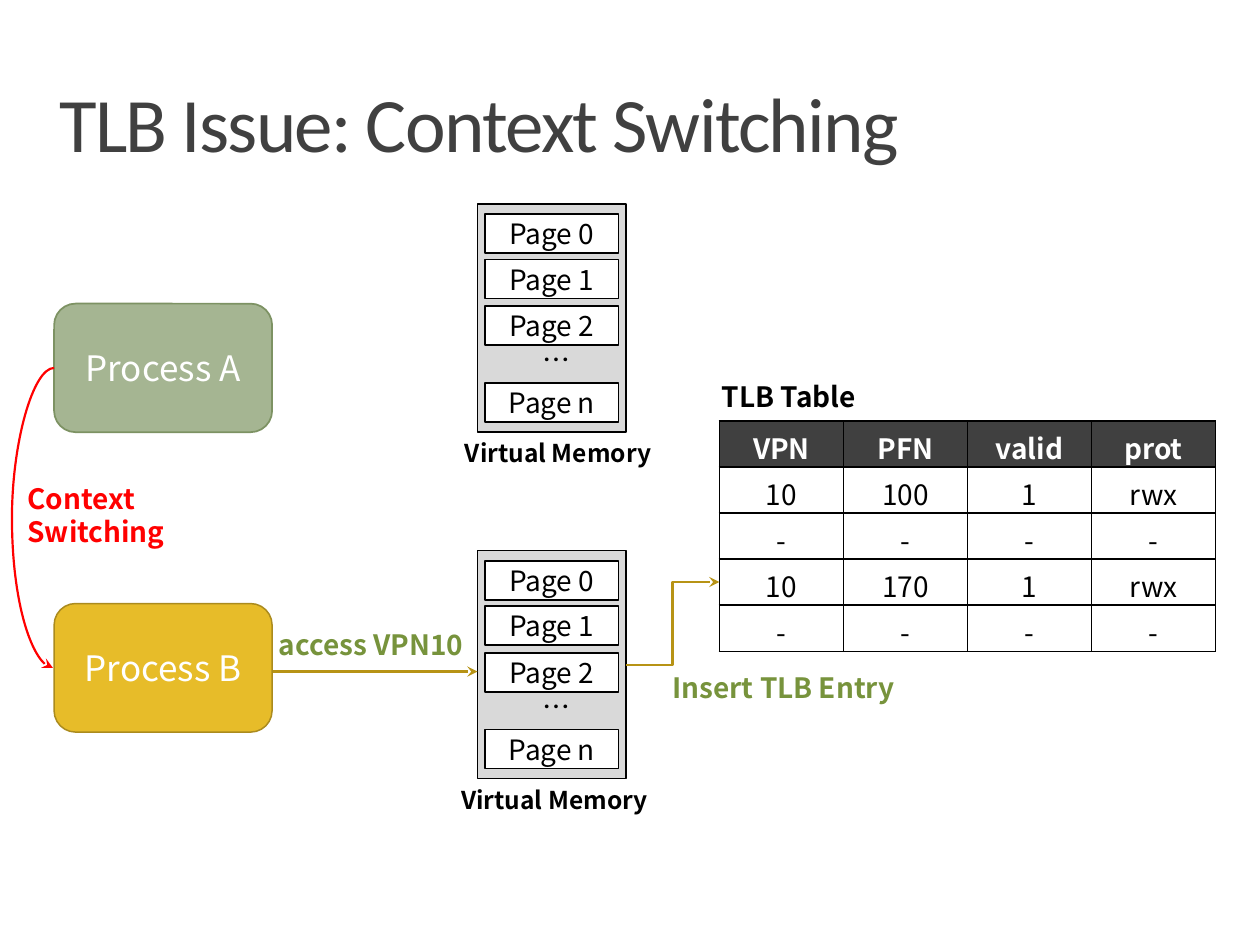
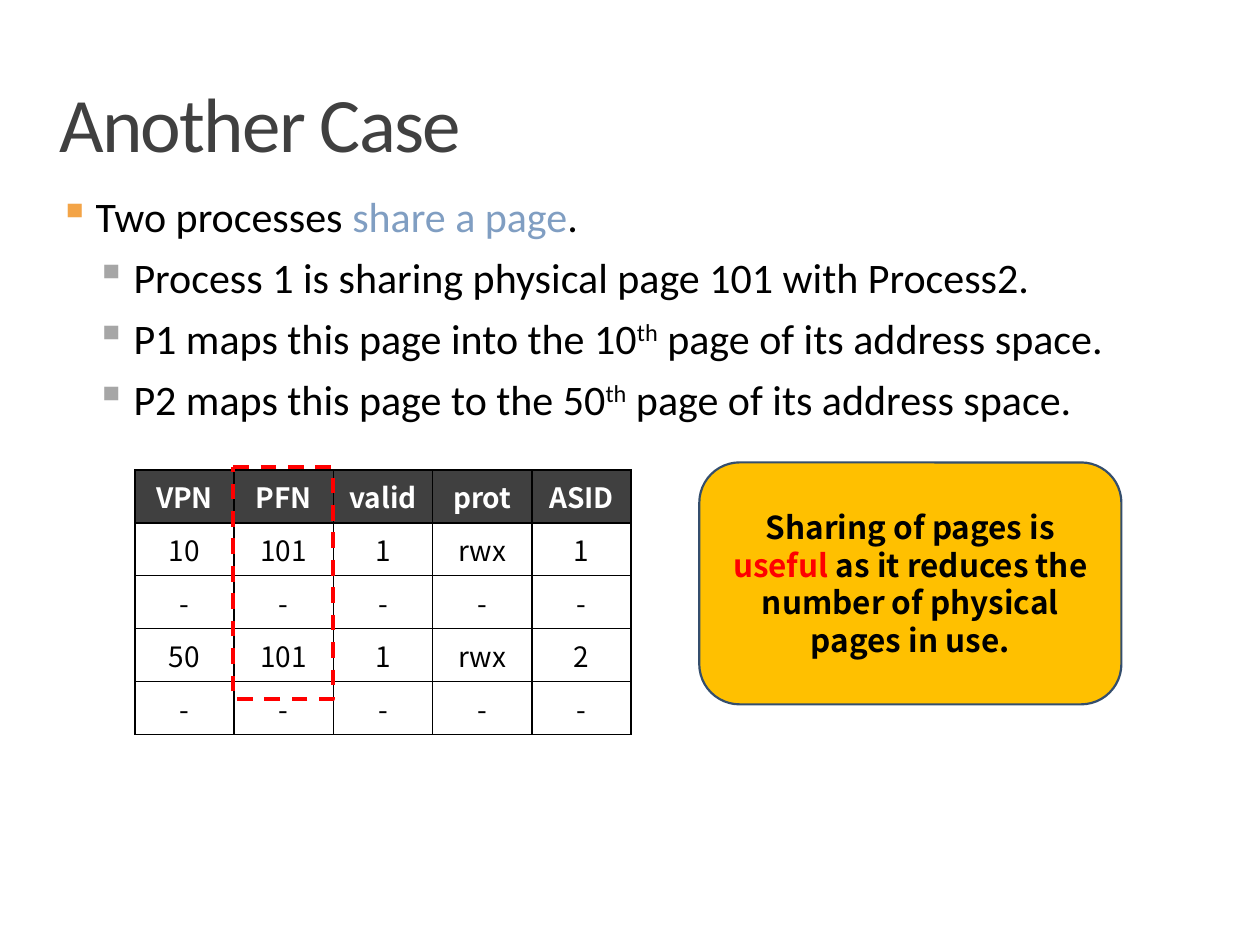
import dataclasses

import lxml.etree
import pptx
import pptx.dml.color
import pptx.enum.dml
import pptx.enum.shapes
import pptx.enum.text
import pptx.oxml
import pptx.oxml.ns
import pptx.util

SHAPE = pptx.enum.shapes.MSO_SHAPE
CONNECTOR = pptx.enum.shapes.MSO_CONNECTOR
ALIGN = pptx.enum.text.PP_ALIGN
ANCHOR = pptx.enum.text.MSO_ANCHOR
qn = pptx.oxml.ns.qn
COLUMNS, ROWS = 100, 75
CELL = pptx.util.Inches(0.1)


@dataclasses.dataclass(frozen=True)
class Theme:
    heading_font: str = "Calibri"
    diagram_font: str = "Noto Sans CJK KR"
    title_size: int = 44
    body_size: int = 24
    process_size: int = 20
    callout_size: int = 18
    label_size: int = 16
    caption_size: int = 14
    ink: str = "000000"
    paper: str = "FFFFFF"
    dark: str = "404040"
    memory: str = "D9D9D9"
    alert: str = "FF0000"
    action: str = "77933C"
    flow: str = "B79315"
    highlight: str = "809EC2"
    callout: str = "FFC000"
    callout_line: str = "344E6D"
    bullet: str = "F3A447"
    sub_bullet: str = "A6A6A6"
    process_a: tuple = ("A5B592", "7D9263", 1)
    process_b: tuple = ("E7BC29", "AB8B1E", 0.85)


THEME = Theme()


@dataclasses.dataclass(frozen=True)
class Box:
    """An area counted in grid columns and rows."""
    left: float
    top: float
    width: float
    height: float

    def area(self, left, top, width, height):
        return Box(self.left + left, self.top + top, width, height)

    def emu(self):
        return [round(cells * CELL) for cells in dataclasses.astuple(self)]


PAGE = Box(0, 0, COLUMNS, ROWS)


def rgb(value):
    return pptx.dml.color.RGBColor.from_string(value)


def assign(target, values):
    for name, value in values.items():
        setattr(target, name, value)


def add_run(paragraph, text, size, color=THEME.ink, bold=False, font=THEME.diagram_font):
    run = paragraph.add_run()
    run.text = text
    assign(run.font, {"size": pptx.util.Pt(size), "bold": bold, "name": font})
    run.font.color.rgb = rgb(color)
    east_asian = lxml.etree.SubElement(run._r.get_or_add_rPr(), qn("a:ea"))
    east_asian.set("typeface", font)
    return run


def set_insets(frame, left, top, right, bottom):
    insets = zip(("left", "top", "right", "bottom"), (left, top, right, bottom))
    assign(frame, {f"margin_{side}": pptx.util.Inches(inset) for side, inset in insets})


def set_line(line, color, width):
    line.color.rgb = rgb(color)
    line.width = pptx.util.Pt(width)


def add_block(slide, box, kind, fill, line_color, line_width):
    block = slide.shapes.add_shape(kind, *box.emu())
    block.shadow.inherit = False
    if fill:
        block.fill.solid()
        block.fill.fore_color.rgb = rgb(fill)
    else:
        block.fill.background()
    set_line(block.line, line_color, line_width)
    assign(block.text_frame, {"word_wrap": True, "vertical_anchor": ANCHOR.MIDDLE})
    block.text_frame.paragraphs[0].alignment = ALIGN.CENTER
    return block


def add_label(slide, box, lines, size=THEME.label_size, color=THEME.ink, bold=True,
              align=ALIGN.LEFT):
    frame = slide.shapes.add_textbox(*box.emu()).text_frame
    frame.word_wrap = True
    for index, line in enumerate(lines):
        paragraph = frame.add_paragraph() if index else frame.paragraphs[0]
        paragraph.alignment = align
        add_run(paragraph, line, size, color, bold)


def add_arrow(slide, kind, start, end, color, width):
    points = [round(cells * CELL) for cells in (*start, *end)]
    arrow = slide.shapes.add_connector(kind, *points)
    set_line(arrow.line, color, width)
    lxml.etree.SubElement(arrow.line._get_or_add_ln(), qn("a:tailEnd")).set("type", "stealth")
    lxml.etree.SubElement(arrow._element.spPr, qn("a:effectLst"))
    return arrow


def set_bulge(arrow, widths):
    """Bend a curved arrow outwards by a number of its own widths."""
    geometry = arrow._element.spPr.find(qn("a:prstGeom"))
    guides = geometry.find(qn("a:avLst"))
    if guides is None:
        guides = lxml.etree.SubElement(geometry, qn("a:avLst"))
    guide = lxml.etree.SubElement(guides, qn("a:gd"))
    guide.set("name", "adj1")
    guide.set("fmla", f"val {widths * 100000}")


def add_titled_slide(deck, heading):
    slide = deck.slides.add_slide(deck.slide_layouts[5])
    title = slide.shapes.title
    assign(title, dict(zip(("left", "top", "width", "height"),
                           PAGE.area(4.7, 7, 90.6, 7.9).emu())))
    frame = title.text_frame
    assign(frame, {"vertical_anchor": ANCHOR.TOP, "word_wrap": True,
                   "auto_size": pptx.enum.text.MSO_AUTO_SIZE.NONE})
    set_insets(frame, 0, 0.04, 0, 0)
    assign(frame.paragraphs[0], {"alignment": ALIGN.LEFT, "line_spacing": 0.8})
    run = add_run(frame.paragraphs[0], heading, THEME.title_size, THEME.dark,
                  font=THEME.heading_font)
    run._r.get_or_add_rPr().set("spc", "-100")
    return slide


def add_process(slide, box, name, colors):
    process = add_block(slide, box, SHAPE.ROUNDED_RECTANGLE, *colors)
    add_run(process.text_frame.paragraphs[0], name, THEME.process_size, THEME.paper)


def add_virtual_memory(slide, box, caption_left):
    """Frame of pages 0 to n, with its caption below."""
    add_block(slide, box, SHAPE.RECTANGLE, THEME.memory, THEME.ink, 1)
    for name, top in (("0", 0.8), ("1", 4.4), ("2", 8.1), ("n", 14.2)):
        page = add_block(slide, box.area(0.6, top, 10.6, 3.1), SHAPE.RECTANGLE,
                         THEME.paper, THEME.ink, 1)
        set_insets(page.text_frame, 0, 0.05, 0, 0.05)
        add_run(page.text_frame.paragraphs[0], f"Page {name}", THEME.label_size)
    add_label(slide, box.area(4.2, 10.5, 11.6, 3.7), ["…"], bold=False)
    add_label(slide, box.area(caption_left, box.height, 19.2, 3.4), ["Virtual Memory"],
              THEME.caption_size, align=ALIGN.CENTER)


def format_cell(cell, text, is_header, bottom_inset):
    cell.fill.solid()
    cell.fill.fore_color.rgb = rgb(THEME.dark if is_header else THEME.paper)
    cell.margin_bottom = pptx.util.Inches(bottom_inset)
    paragraph = cell.text_frame.paragraphs[0]
    paragraph.alignment = ALIGN.CENTER
    add_run(paragraph, text, THEME.label_size, THEME.paper if is_header else THEME.ink,
            is_header)
    properties = cell._tc.get_or_add_tcPr()
    for position, side in enumerate(("lnL", "lnR", "lnT", "lnB")):
        border = pptx.oxml.parse_xml(
            f'<a:{side} xmlns:a="{pptx.oxml.ns.nsuri("a")}" w="12700"><a:solidFill>'
            f'<a:srgbClr val="{THEME.ink}"/></a:solidFill></a:{side}>')
        properties.insert(position, border)


def add_tlb_table(slide, box, rows, bottom_inset):
    table = slide.shapes.add_table(len(rows), len(rows[0]), *box.emu()).table
    for row_index, row in enumerate(rows):
        for column_index, text in enumerate(row):
            format_cell(table.cell(row_index, column_index), text, row_index == 0,
                        bottom_inset)


def add_bullets(slide, box, items):
    """Items are (level, runs); a run is (text, color, is_superscript)."""
    frame = slide.shapes.add_textbox(*box.emu()).text_frame
    frame.word_wrap = True
    set_insets(frame, 0, 0, 0, 0)
    for index, (level, runs) in enumerate(items):
        paragraph = frame.add_paragraph() if index else frame.paragraphs[0]
        paragraph.level = level
        if index:
            paragraph.space_before = pptx.util.Pt(6)
        properties = paragraph._p.get_or_add_pPr()
        properties.set("marL", str(pptx.util.Inches((0.29, 0.59)[level])))
        properties.set("indent", str(-pptx.util.Inches((0.29, 0.3)[level])))
        bullet_color = lxml.etree.SubElement(properties, qn("a:buClr"))
        lxml.etree.SubElement(bullet_color, qn("a:srgbClr")).set(
            "val", (THEME.bullet, THEME.sub_bullet)[level])
        lxml.etree.SubElement(properties, qn("a:buChar")).set("char", "▪")
        for text, color, is_superscript in runs:
            run = add_run(paragraph, text, THEME.body_size, color, font=THEME.heading_font)
            if is_superscript:
                run._r.get_or_add_rPr().set("baseline", "30000")


def add_callout(slide, box, runs):
    callout = add_block(slide, box, SHAPE.ROUNDED_RECTANGLE, THEME.callout,
                        THEME.callout_line, 1.25)
    set_insets(callout.text_frame, 0.12, 0.05, 0.12, 0.05)
    for text, color in runs:
        add_run(callout.text_frame.paragraphs[0], text, THEME.callout_size, color, True)


def add_column_marker(slide, box):
    marker = add_block(slide, box, SHAPE.ROUNDED_RECTANGLE, None, THEME.alert, 2.25)
    marker.adjustments[0] = 0
    marker.line.dash_style = pptx.enum.dml.MSO_LINE.DASH


def build_context_switching(deck):
    slide = add_titled_slide(deck, "TLB Issue: Context Switching")
    add_process(slide, PAGE.area(4.3, 24.1, 17.3, 10.2), "Process A", THEME.process_a)
    add_process(slide, PAGE.area(4.3, 47.9, 17.3, 10.2), "Process B", THEME.process_b)
    for top, caption_left in ((16.2, -3.2), (43.7, -3.5)):
        add_virtual_memory(slide, PAGE.area(37.9, top, 11.8, 18.1), caption_left)
    add_label(slide, PAGE.area(56.3, 29.6, 15.4, 3.7), ["TLB Table"])
    add_tlb_table(slide, PAGE.area(57.1, 33.4, 39.4, 18.3), [
        ("VPN", "PFN", "valid", "prot"),
        ("10", "100", "1", "rwx"),
        "----",
        ("10", "170", "1", "rwx"),
        "----",
    ], 0)
    add_arrow(slide, CONNECTOR.STRAIGHT, (21.7, 53.3), (37.9, 53.3), THEME.flow, 1.5)
    add_arrow(slide, CONNECTOR.ELBOW, (49.7, 52.8), (57.1, 46.2), THEME.flow, 1.5)
    switch = add_arrow(slide, CONNECTOR.CURVE, (4.3, 29.2), (4.2, 53), THEME.alert, 1.25)
    set_bulge(switch, 34)
    add_label(slide, PAGE.area(1.2, 37.7, 14.8, 6.4), ["Context", "Switching"],
              color=THEME.alert)
    add_label(slide, PAGE.area(18.5, 49.3, 21.9, 3.7), ["access VPN10"],
              color=THEME.action, align=ALIGN.CENTER)
    add_label(slide, PAGE.area(52.4, 52.7, 21.9, 3.7), ["Insert TLB Entry"],
              color=THEME.action)


def build_shared_page(deck):
    slide = add_titled_slide(deck, "Another Case")
    ink = THEME.ink
    add_bullets(slide, PAGE.area(4.7, 15.1, 90.6, 55.9), [
        (0, [("Two processes ", ink, False), ("share a page", THEME.highlight, False),
             (".", ink, False)]),
        (1, [("Process 1 is sharing physical page 101 with Process2.", ink, False)]),
        *((1, [(start, ink, False), ("th", ink, True),
               (" page of its address space.", ink, False)])
          for start in ("P1 maps this page into the 10", "P2 maps this page to the 50")),
    ])
    add_tlb_table(slide, PAGE.area(10.7, 37.3, 39.4, 21), [
        ("VPN", "PFN", "valid", "prot", "ASID"),
        ("10", "101", "1", "rwx", "1"),
        "-----",
        ("50", "101", "1", "rwx", "2"),
        "-----",
    ], 0.05)
    add_column_marker(slide, PAGE.area(18.5, 37.1, 7.9, 18.4))
    add_callout(slide, PAGE.area(55.5, 36.7, 33.5, 19.2), [
        ("Sharing of pages is ", ink), ("useful", THEME.alert),
        (" as it reduces the number of physical pages in use.", ink)])


def main():
    deck = pptx.Presentation()
    assign(deck, {"slide_width": COLUMNS * CELL, "slide_height": ROWS * CELL})
    build_context_switching(deck)
    build_shared_page(deck)
    deck.save("out.pptx")


if __name__ == "__main__":
    main()
